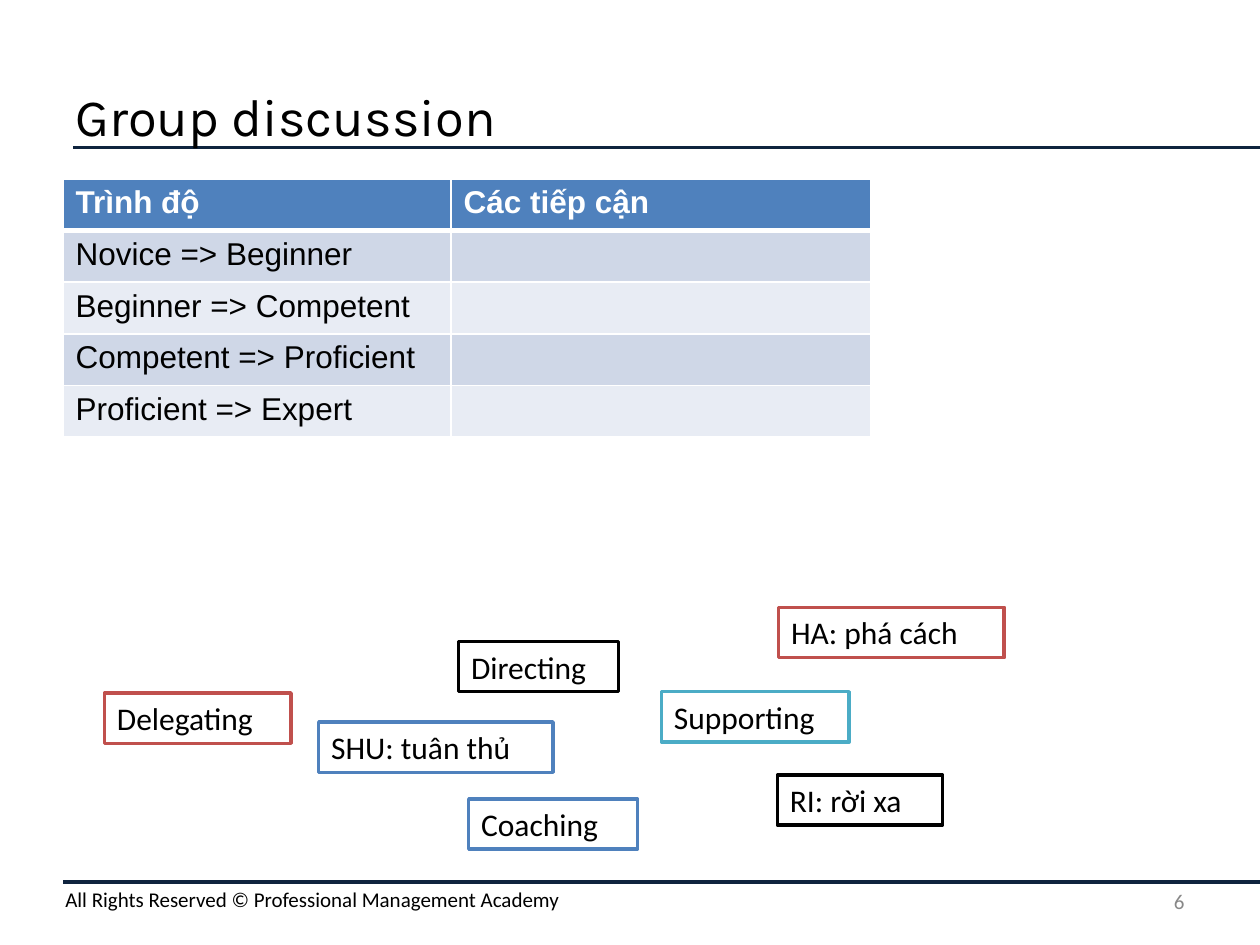
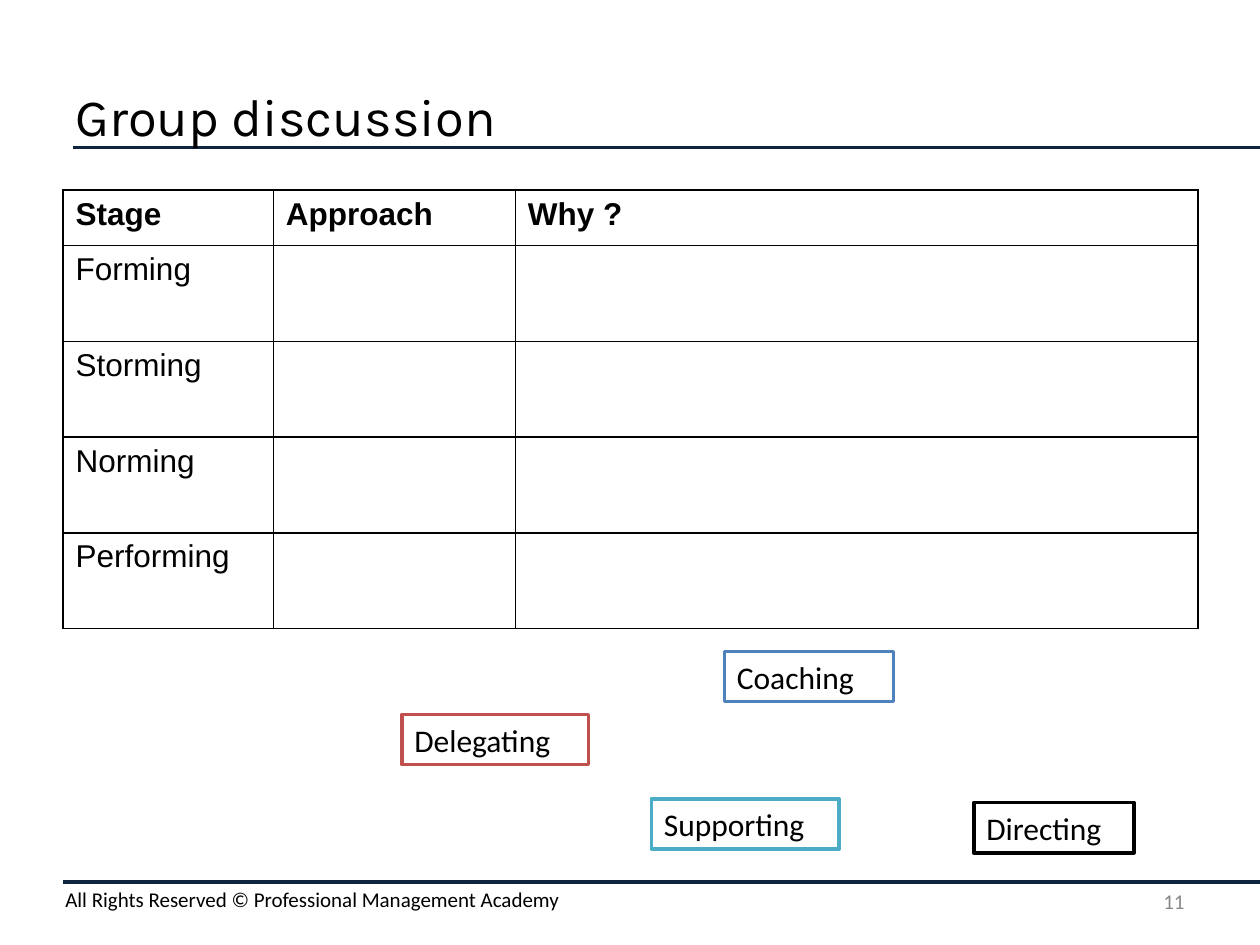
import dataclasses

import lxml.etree
import pptx
import pptx.dml.color
import pptx.enum.shapes
import pptx.enum.text
import pptx.oxml.ns
import pptx.util

Inches = pptx.util.Inches
Pt = pptx.util.Pt
RGB = pptx.dml.color.RGBColor.from_string
ANCHOR = pptx.enum.text.MSO_ANCHOR
ALIGN = pptx.enum.text.PP_ALIGN
qn = pptx.oxml.ns.qn


@dataclasses.dataclass(frozen=True)
class Theme:
    black: str = "000000"
    white: str = "FFFFFF"
    navy: str = "0F243E"
    blue: str = "4F81BD"
    red: str = "C0504D"
    teal: str = "4BACC6"
    grey: str = "888888"
    band_dark: str = "CFD7E7"
    band_light: str = "E8ECF4"
    title_font: str = "Karla"
    label_font: str = "Calibri"
    table_font: str = "Arial"
    title_size: int = 30
    body_size: int = 18
    footer_size: int = 12
    rule_width: int = 2


THEME = Theme()


@dataclasses.dataclass(frozen=True)
class TableLook:
    border: str
    header_text: str
    header_fill: str | None = None
    band_fills: tuple = (None,)
    header_rule: int = 1


TITLE_FORMAT = {"name": THEME.title_font, "size": Pt(THEME.title_size)}
CARD_FORMAT = {"name": THEME.label_font, "size": Pt(THEME.body_size)}
FOOTER_FORMAT = {"name": THEME.label_font, "size": Pt(THEME.footer_size)}
TABLE_FORMAT = {"name": THEME.table_font, "size": Pt(THEME.body_size)}

BANDED = TableLook(THEME.white, THEME.white, THEME.blue,
                   (THEME.band_dark, THEME.band_light), 3)
GRID = TableLook(THEME.black, THEME.black)

CARD_HEIGHT = 0.4
# label: (width, outline colour)
CARDS = {
    "SHU: tuân thủ": (1.86, THEME.blue),
    "HA: phá cách": (1.79, THEME.red),
    "RI: rời xa": (1.31, THEME.black),
    "Delegating": (1.48, THEME.red),
    "Directing": (1.27, THEME.black),
    "Supporting": (1.49, THEME.teal),
    "Coaching": (1.34, THEME.blue),
}


def write(frame, text, font_format, color=THEME.black, align=ALIGN.LEFT):
    paragraph = frame.paragraphs[0]
    paragraph.text = text
    paragraph.alignment = align
    for name, value in font_format.items():
        setattr(paragraph.font, name, value)
    paragraph.font.color.rgb = RGB(color)


def add_label(slide, box, text, font_format, anchor=ANCHOR.TOP, **style):
    frame = slide.shapes.add_textbox(*map(Inches, box)).text_frame
    frame.word_wrap = True
    frame.vertical_anchor = anchor
    write(frame, text, font_format, **style)


def add_rule(slide, left, top, right):
    rule = slide.shapes.add_connector(
        pptx.enum.shapes.MSO_CONNECTOR.STRAIGHT,
        Inches(left), Inches(top), Inches(right), Inches(top))
    rule.line.color.rgb = RGB(THEME.navy)
    rule.line.width = Pt(THEME.rule_width)
    properties = rule._element.spPr
    lxml.etree.SubElement(properties, qn("a:effectLst"))


def add_heading(slide, box, title):
    left, top, width, height = box
    add_rule(slide, left + 0.08, top + 0.67, 10)
    add_label(slide, box, title, TITLE_FORMAT, ANCHOR.MIDDLE)


def add_footer(slide, box, number):
    left, top, width, height = box
    add_rule(slide, left, top, 10)
    add_label(slide, (left - 0.08, top - 0.01, 9.58, 0.3),
              "All Rights Reserved © Professional Management Academy",
              FOOTER_FORMAT)
    number_width = 2.33
    add_label(slide, (left + width - number_width, top - 0.05,
                      number_width, height),
              str(number), FOOTER_FORMAT, ANCHOR.MIDDLE,
              color=THEME.grey, align=ALIGN.RIGHT)


def set_borders(cell, color, widths):
    """Draw the edges L, R, T and B in the given point widths."""
    properties = cell._tc.get_or_add_tcPr()
    for index, (edge, width) in enumerate(widths.items()):
        line = lxml.etree.Element(qn(f"a:ln{edge}"), w=str(Pt(width)))
        fill = lxml.etree.SubElement(line, qn("a:solidFill"))
        lxml.etree.SubElement(fill, qn("a:srgbClr"), val=color)
        properties.insert(index, line)


def fill_cell(cell, color):
    if color is None:
        cell.fill.background()
    else:
        cell.fill.solid()
        cell.fill.fore_color.rgb = RGB(color)


def add_stage_table(slide, left, top, columns, heights, headers, stages, look):
    """Headers on top, one stage per row, the other columns left to fill in."""
    rows = [headers] + [[stage] + [""] * (len(headers) - 1) for stage in stages]
    table = slide.shapes.add_table(
        len(rows), len(columns), Inches(left), Inches(top),
        Inches(sum(columns)), Inches(sum(heights))).table
    table.first_row = table.horz_banding = False
    for column, width in zip(table.columns, columns):
        column.width = Inches(width)
    for row, height in zip(table.rows, heights):
        row.height = Inches(height)
    for r, texts in enumerate(rows):
        is_header = r == 0
        fill = (look.header_fill if is_header
                else look.band_fills[(r - 1) % len(look.band_fills)])
        color = look.header_text if is_header else THEME.black
        edges = {"L": 1, "R": 1,
                 "T": look.header_rule if r == 1 else 1,
                 "B": look.header_rule if is_header else 1}
        for c, text in enumerate(texts):
            cell = table.cell(r, c)
            write(cell.text_frame, text, TABLE_FORMAT | {"bold": is_header}, color)
            fill_cell(cell, fill)
            set_borders(cell, look.border, edges)


def add_card(slide, label, left, top):
    width, outline = CARDS[label]
    card = slide.shapes.add_shape(
        pptx.enum.shapes.MSO_SHAPE.RECTANGLE,
        *map(Inches, (left, top, width, CARD_HEIGHT)))
    card.shadow.inherit = False
    card.fill.solid()
    card.fill.fore_color.rgb = RGB(THEME.white)
    card.line.color.rgb = RGB(outline)
    card.line.width = Pt(THEME.rule_width)
    card.text_frame.word_wrap = True
    card.text_frame.vertical_anchor = ANCHOR.TOP
    write(card.text_frame, label, CARD_FORMAT)


def add_discussion_slide(deck, number, table, cards):
    slide = deck.slides.add_slide(deck.slide_layouts[6])
    add_heading(slide, (0.5, 0.5, 9, 0.83), "Group discussion")
    add_footer(slide, (0.5, 7, 9, 0.4), number)
    add_stage_table(slide, **table)
    for label, place in cards.items():
        add_card(slide, label, *place)


def main():
    deck = pptx.Presentation()
    deck.slide_width = Inches(10)
    deck.slide_height = Inches(7.5)

    skill_levels = {
        "left": 0.5, "top": 1.42, "columns": (3.08, 3.33), "heights": [0.41] * 5,
        "headers": ["Trình độ", "Các tiếp cận"],
        "stages": ["Novice => Beginner", "Beginner => Competent",
                   "Competent => Proficient", "Proficient => Expert"],
        "look": BANDED,
    }
    add_discussion_slide(deck, 6, skill_levels, {
        "SHU: tuân thủ": (2.53, 5.73),
        "HA: phá cách": (6.18, 4.82),
        "RI: rời xa": (6.17, 6.15),
        "Delegating": (0.83, 5.5),
        "Directing": (3.64, 5.09),
        "Supporting": (5.25, 5.49),
        "Coaching": (3.72, 6.34),
    })

    team_stages = {
        "left": 0.5, "top": 1.51, "columns": (1.67, 1.92, 5.42),
        "heights": [0.44] + [0.76] * 4,
        "headers": ["Stage", "Approach", "Why ?"],
        "stages": ["Forming", "Storming", "Norming", "Performing"],
        "look": GRID,
    }
    add_discussion_slide(deck, 11, team_stages, {
        "Delegating": (3.19, 5.67),
        "Directing": (7.73, 6.37),
        "Supporting": (5.17, 6.34),
        "Coaching": (5.75, 5.17),
    })
    deck.save("out.pptx")


if __name__ == "__main__":
    main()
